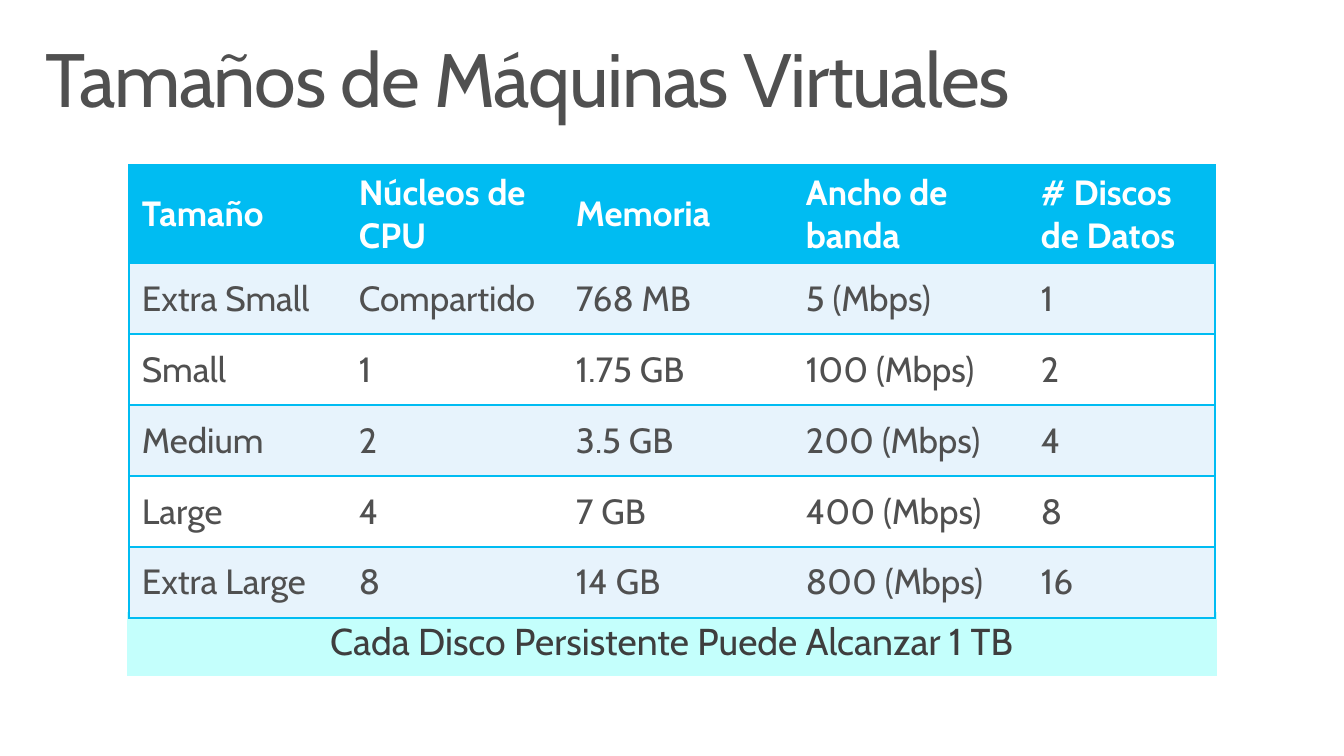
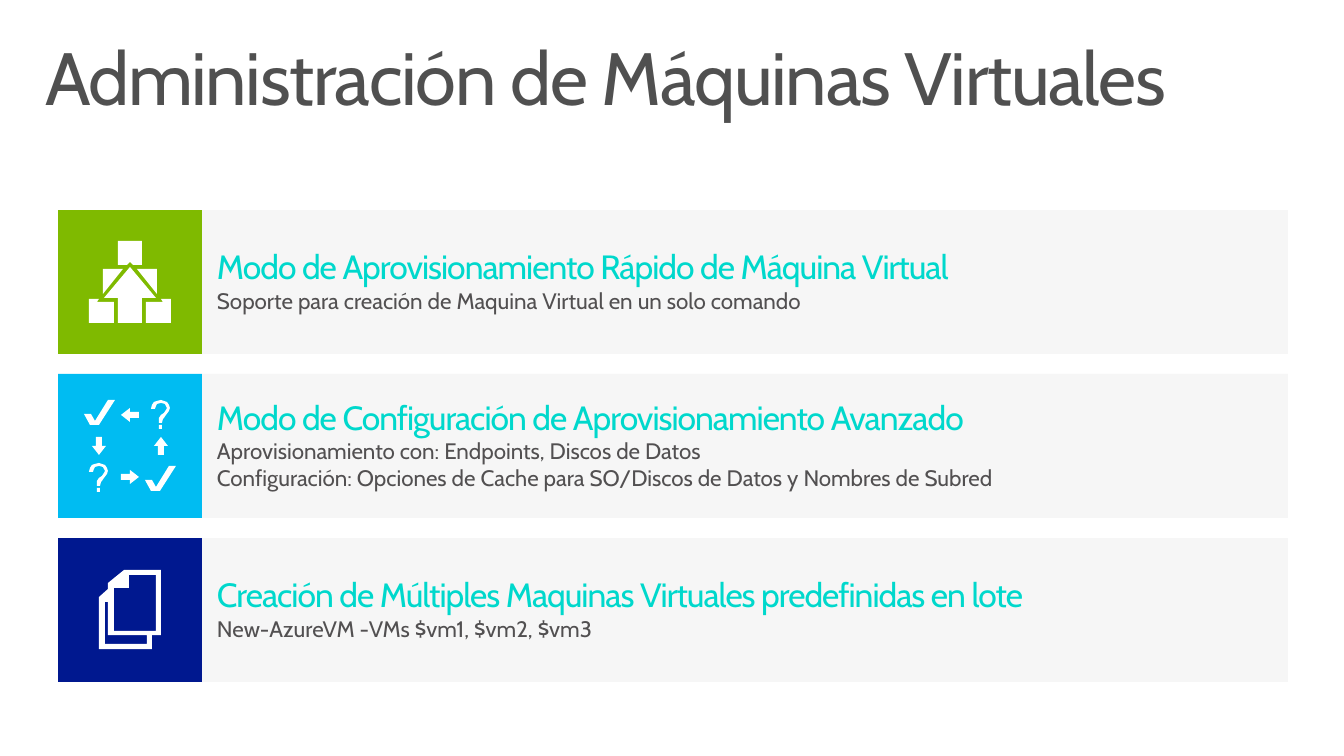
"""Build two slides about virtual machine sizes and administration."""
import dataclasses

import lxml.etree
import pptx
import pptx.dml.color
import pptx.enum.shapes
import pptx.enum.text
import pptx.oxml.ns
import pptx.util

PX = 914400 / 100.8
ALIGN = pptx.enum.text.PP_ALIGN
ANCHOR = pptx.enum.text.MSO_ANCHOR
RECT = pptx.enum.shapes.MSO_SHAPE.RECTANGLE


@dataclasses.dataclass(frozen=True)
class Theme:
    font: str = "Cabin"
    white: str = "FFFFFF"
    text: str = "505050"
    detail: str = "525051"
    note_text: str = "3E3E3E"
    note_fill: str = "C4FFFC"
    band: str = "E7F3FC"
    cyan: str = "00BCF2"
    green: str = "7FBA00"
    navy: str = "00188F"
    turquoise: str = "00D8CC"
    table_size: float = 25
    note_size: float = 26.7
    heading_size: float = 24
    detail_size: float = 16


T = Theme()

SIZES_TITLE = ("Tamaños de Máquinas Virtuales", 54)
SIZES = [
    ("Tamaño", "Núcleos de CPU", "Memoria", "Ancho de banda", "# Discos de Datos"),
    ("Extra Small", "Compartido", "768 MB", "5 (Mbps)", "1"),
    ("Small", "1", "1.75 GB", "100 (Mbps)", "2"),
    ("Medium", "2", "3.5 GB", "200 (Mbps)", "4"),
    ("Large", "4", "7 GB", "400 (Mbps)", "8"),
    ("Extra Large", "8", "14 GB", "800 (Mbps)", "16"),
]
COLUMN_WIDTHS = (217, 217, 230, 235, 187)
HEADER_HEIGHT, ROW_HEIGHT = 97, 71
DISK_NOTE = "Cada Disco Persistente Puede Alcanzar 1 TB"

ADMIN_TITLE = ("Administración de Máquinas Virtuales", 52.9)
MODES = [
    (T.green, "Modo de Aprovisionamiento Rápido de Máquina Virtual",
     ["Soporte para creación de Maquina Virtual en un solo comando"]),
    (T.cyan, "Modo de Configuración de Aprovisionamiento Avanzado",
     ["Aprovisionamiento con: Endpoints, Discos de Datos",
      "Configuración: Opciones de Cache para SO/Discos de Datos y Nombres de Subred"]),
    (T.navy, "Creación de Múltiples Maquinas Virtuales predefinidas en lote",
     ["New-AzureVM -VMs $vm1, $vm2, $vm3"]),
]
TILE, TILE_GAP, TILE_LEFT, TILE_TOP, PANEL_WIDTH = 144, 20, 58, 210, 1086

TOP_BOX = [(0, -20), (3, -17), (12, -17), (12, -41), (-12, -41), (-12, -17), (-3, -17)]
BIG_ARROW = [(0, -15), (-26, 16), (-12, 16), (-12, 41), (12, 41), (12, 16), (26, 16)]
CORNER_BOX = [(-16, 20), (-16, 41), (-41, 41), (-41, 17), (-31, 17), (-33, 20)]
WING = [(-27, -13), (-27, 12), (-7, -13)]

CHECK = [(31, 0), (15, 25), (6, 25), (0, 14), (7, 14), (11, 21), (24, 0)]
QUESTION = [(11, 23), (12, 19), (13, 18), (15, 15), (18, 11), (19, 8), (18, 5), (16, 2),
            (13, 1), (10, 0), (6, 1), (3, 2), (1, 5), (0, 9), (4, 9), (5, 6), (6, 4),
            (10, 3), (14, 4), (16, 8), (15, 10), (13, 13), (10, 15), (8, 18), (8, 23)]
DOT = [(8, 25), (11, 25), (11, 29), (8, 29)]
SMALL_ARROW = [(9, 31), (0, 24), (0, 28), (-9, 28), (-9, 34), (0, 34), (0, 38)]

PAGES = [
    [(-6, -40), (-22, -27), (-22, -21), (-31, -13), (-31, 39), (22, 39), (22, 25),
     (31, 25), (31, -40)],
    [(17, 34), (-25, 34), (-25, -8), (-22, -8), (-22, 25), (17, 25)],
    [(26, 21), (-16, 21), (-16, -22), (-1, -22), (-1, -35), (26, -35)],
]


def px(n):
    return pptx.util.Emu(round(n * PX))


def rgb(color):
    return pptx.dml.color.RGBColor.from_string(color)


def mirror(points):
    return [(-x, y) for x, y in points]


def shift(points, dx, dy):
    return [(x + dx, y + dy) for x, y in points]


def turns(points):
    result = []
    for _ in range(4):
        result.append(points)
        points = [(-y, x) for x, y in points]
    return result


def icons():
    tree = [TOP_BOX, BIG_ARROW, CORNER_BOX, mirror(CORNER_BOX), WING, mirror(WING)]
    cycle = turns(SMALL_ARROW)
    cycle += [shift(CHECK, *at) for at in ((-46, -46), (15, 20))]
    cycle += [shift(part, *at) for at in ((21, -46), (-41, 17)) for part in (QUESTION, DOT)]
    return [tree, cycle, PAGES]


def set_frame(tf, insets, anchor=ANCHOR.TOP):
    tf.word_wrap = True
    tf.vertical_anchor = anchor
    tf.margin_left, tf.margin_top, tf.margin_right, tf.margin_bottom = map(px, insets)


def add_text(p, text, size, color, bold=False, spacing=0, line=1.0, align=ALIGN.LEFT):
    p.alignment = align
    p.line_spacing = line
    r = p.add_run()
    r.text = text
    r.font.name = T.font
    r.font.size = pptx.util.Pt(size)
    r.font.bold = bold
    r.font.color.rgb = rgb(color)
    if spacing:
        r.font._element.set("spc", str(round(spacing * 100)))


def paint(sp, color, opacity=None):
    sp.shadow.inherit = False
    sp.fill.solid()
    sp.fill.fore_color.rgb = rgb(color)
    sp.line.fill.background()
    if opacity:
        clr = sp._element.spPr.find(".//" + pptx.oxml.ns.qn("a:srgbClr"))
        alpha = lxml.etree.SubElement(clr, pptx.oxml.ns.qn("a:alpha"))
        alpha.set("val", str(opacity * 1000))


def add_rect(slide, box, color, opacity=None):
    sp = slide.shapes.add_shape(RECT, *map(px, box))
    paint(sp, color, opacity)
    return sp


def add_icon(slide, contours, cx, cy):
    first = contours[0][0]
    builder = slide.shapes.build_freeform(*first, scale=PX)
    for i, points in enumerate(contours):
        if i:
            builder.move_to(*points[0])
        builder.add_line_segments(points[1:], close=True)
    paint(builder.convert_to_shape(px(cx), px(cy)), T.white)


def set_borders(cell, visible):
    tcPr = cell._tc.get_or_add_tcPr()
    for side in "LRTB":
        ln = lxml.etree.SubElement(tcPr, pptx.oxml.ns.qn("a:ln" + side), w="12700")
        if side in visible:
            fill = lxml.etree.SubElement(ln, pptx.oxml.ns.qn("a:solidFill"))
            lxml.etree.SubElement(fill, pptx.oxml.ns.qn("a:srgbClr"), val=T.cyan)
        else:
            lxml.etree.SubElement(ln, pptx.oxml.ns.qn("a:noFill"))


def add_slide(prs, title, size):
    slide = prs.slides.add_slide(prs.slide_layouts[6])
    tf = slide.shapes.add_textbox(*map(px, (29, 32, 1284, 99))).text_frame
    set_frame(tf, (16, 10, 16, 10))
    add_text(tf.paragraphs[0], title, size, T.text, spacing=-1, line=0.9)
    return slide


def add_sizes_table(slide):
    height = HEADER_HEIGHT + ROW_HEIGHT * (len(SIZES) - 1)
    frame = slide.shapes.add_table(len(SIZES), len(COLUMN_WIDTHS),
                                   *map(px, (129, 165, sum(COLUMN_WIDTHS), height)))
    table = frame.table
    table.horz_banding = False
    for column, width in zip(table.columns, COLUMN_WIDTHS):
        column.width = px(width)
    last = len(COLUMN_WIDTHS) - 1
    for i, values in enumerate(SIZES):
        header = i == 0
        table.rows[i].height = px(HEADER_HEIGHT if header else ROW_HEIGHT)
        fill = T.cyan if header else T.band if i % 2 else T.white
        for j, value in enumerate(values):
            cell = table.cell(i, j)
            set_borders(cell, "TB" + ("L" if j == 0 else "R" if j == last else ""))
            cell.fill.solid()
            cell.fill.fore_color.rgb = rgb(fill)
            cell.vertical_anchor = ANCHOR.MIDDLE
            cell.margin_left = cell.margin_right = px(13)
            cell.margin_top = cell.margin_bottom = px(7)
            add_text(cell.text_frame.paragraphs[0], value, T.table_size,
                     T.white if header else T.text, bold=header)


def build_sizes(prs):
    slide = add_slide(prs, *SIZES_TITLE)
    note = add_rect(slide, (125, 610, 1094, 68), T.note_fill)
    note.line.color.rgb = rgb(T.white)
    note.line.width = pptx.util.Pt(3)
    set_frame(note.text_frame, (13, 13, 13, 13))
    add_text(note.text_frame.paragraphs[0], DISK_NOTE, T.note_size, T.note_text,
             line=0.9, align=ALIGN.CENTER)
    add_sizes_table(slide)


def build_admin(prs):
    slide = add_slide(prs, *ADMIN_TITLE)
    for i, ((color, heading, details), icon) in enumerate(zip(MODES, icons())):
        top = TILE_TOP + i * (TILE + TILE_GAP)
        panel = add_rect(slide, (TILE_LEFT + TILE, top, PANEL_WIDTH, TILE), T.text, opacity=5)
        tf = panel.text_frame
        set_frame(tf, (15, 0, 20, 0), ANCHOR.MIDDLE)
        add_text(tf.paragraphs[0], heading, T.heading_size, T.turquoise, spacing=-0.7, line=0.9)
        for detail in details:
            add_text(tf.add_paragraph(), detail, T.detail_size, T.detail)
        add_rect(slide, (TILE_LEFT, top, TILE, TILE), color)
        add_icon(slide, icon, TILE_LEFT + TILE // 2, top + TILE // 2)


def main():
    prs = pptx.Presentation()
    prs.slide_width, prs.slide_height = px(1344), px(756)
    build_sizes(prs)
    build_admin(prs)
    prs.save("out.pptx")


if __name__ == "__main__":
    main()
